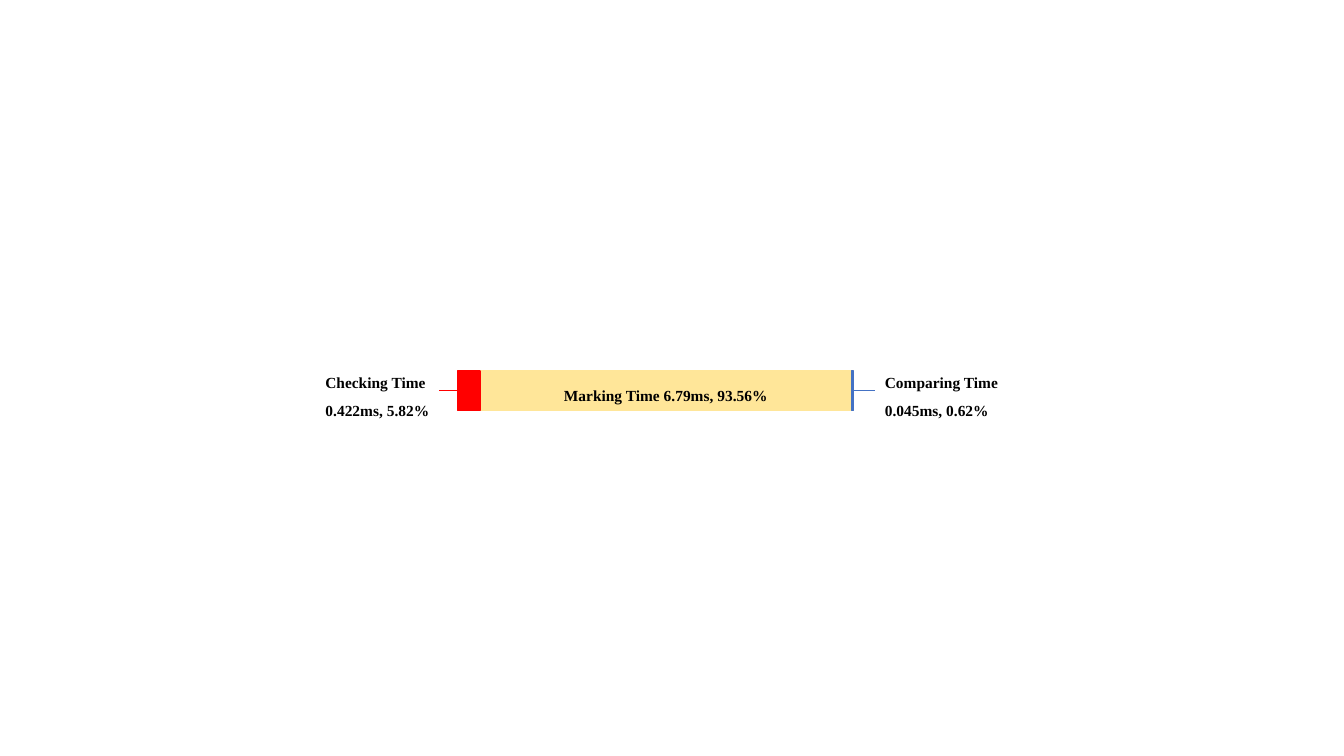
from pptx import Presentation
from pptx.dml.color import RGBColor
from pptx.enum.shapes import MSO_CONNECTOR as Connector, MSO_SHAPE as Shape
from pptx.enum.text import MSO_ANCHOR as Anchor, MSO_AUTO_SIZE as AutoSize, PP_ALIGN as Align
from pptx.oxml.ns import qn
from pptx.util import Inches, Pt
from lxml import etree

THEME = {
    "checking": RGBColor.from_string("FF0000"),
    "marking": RGBColor.from_string("FFE699"),
    "comparing": RGBColor.from_string("4472C4"),
    "outline": Pt(1),
    "spacing": 1.5,
    "font": {"name": "Times New Roman", "size": Pt(11), "bold": True},
    "text": RGBColor.from_string("000000"),
}

presentation = Presentation()
presentation.slide_width, presentation.slide_height = Inches(13.33), Inches(7.5)
slide = presentation.slides.add_slide(presentation.slide_layouts[6])


def place(*percents):
    """Turn alternating horizontal and vertical percentages into lengths."""
    sides = (presentation.slide_width, presentation.slide_height)
    return [round(sides[i % 2] * percent / 100) for i, percent in enumerate(percents)]


def write(frame, lines, alignment):
    frame.word_wrap = True
    for index, line in enumerate(lines):
        paragraph = frame.paragraphs[0] if index == 0 else frame.add_paragraph()
        paragraph.alignment = alignment
        paragraph.line_spacing = THEME["spacing"]
        run = paragraph.add_run()
        run.text = line
        for attribute, value in THEME["font"].items():
            setattr(run.font, attribute, value)
        run.font.color.rgb = THEME["text"]


# Positions as percentages of the slide
bar_top, bar_height = 49.07, 5.2
bar_middle = bar_top + bar_height / 2
label_top, label_height = 47.47, 8.3
checking_left, marking_left, comparing_left, bar_right = 34.05, 35.73, 63.35, 63.52
checking_label_right, comparing_label_left = 32.7, 65.1
checking_label_width, comparing_label_width = 9.52, 10.2

# Time bar: the outer segments lie over the ends of the marking segment
segments = [
    ("marking", marking_left, comparing_left, ["Marking Time 6.79ms, 93.56%"]),
    ("comparing", comparing_left, bar_right, []),
    ("checking", checking_left, marking_left, []),
]
for phase, left, right, lines in segments:
    segment = slide.shapes.add_shape(
        Shape.RECTANGLE, *place(left, bar_top, right - left, bar_height))
    segment.shadow.inherit = False
    segment.fill.solid()
    segment.fill.fore_color.rgb = THEME[phase]
    segment.line.color.rgb = THEME[phase]
    segment.line.width = THEME["outline"]
    segment.text_frame.vertical_anchor = Anchor.MIDDLE
    write(segment.text_frame, lines, Align.CENTER)

# Side labels, each with a leader line to its end of the bar
labels = [
    ("checking", checking_label_right - checking_label_width, checking_label_width,
     checking_left, checking_label_right, Align.CENTER,
     ["Checking Time", " 0.422ms, 5.82% "]),
    ("comparing", comparing_label_left, comparing_label_width,
     bar_right, comparing_label_left, Align.LEFT,
     ["Comparing Time", "0.045ms, 0.62%"]),
]
for phase, left, width, start, end, alignment, lines in labels:
    label = slide.shapes.add_textbox(*place(left, label_top, width, label_height))
    write(label.text_frame, lines, alignment)
    label.text_frame.auto_size = AutoSize.SHAPE_TO_FIT_TEXT

    leader = slide.shapes.add_connector(
        Connector.STRAIGHT, *place(start, bar_middle, end, bar_middle))
    leader.line.color.rgb = THEME[phase]
    leader.line.width = THEME["outline"]
    etree.SubElement(leader._element.spPr, qn("a:effectLst"))

presentation.save("out.pptx")
